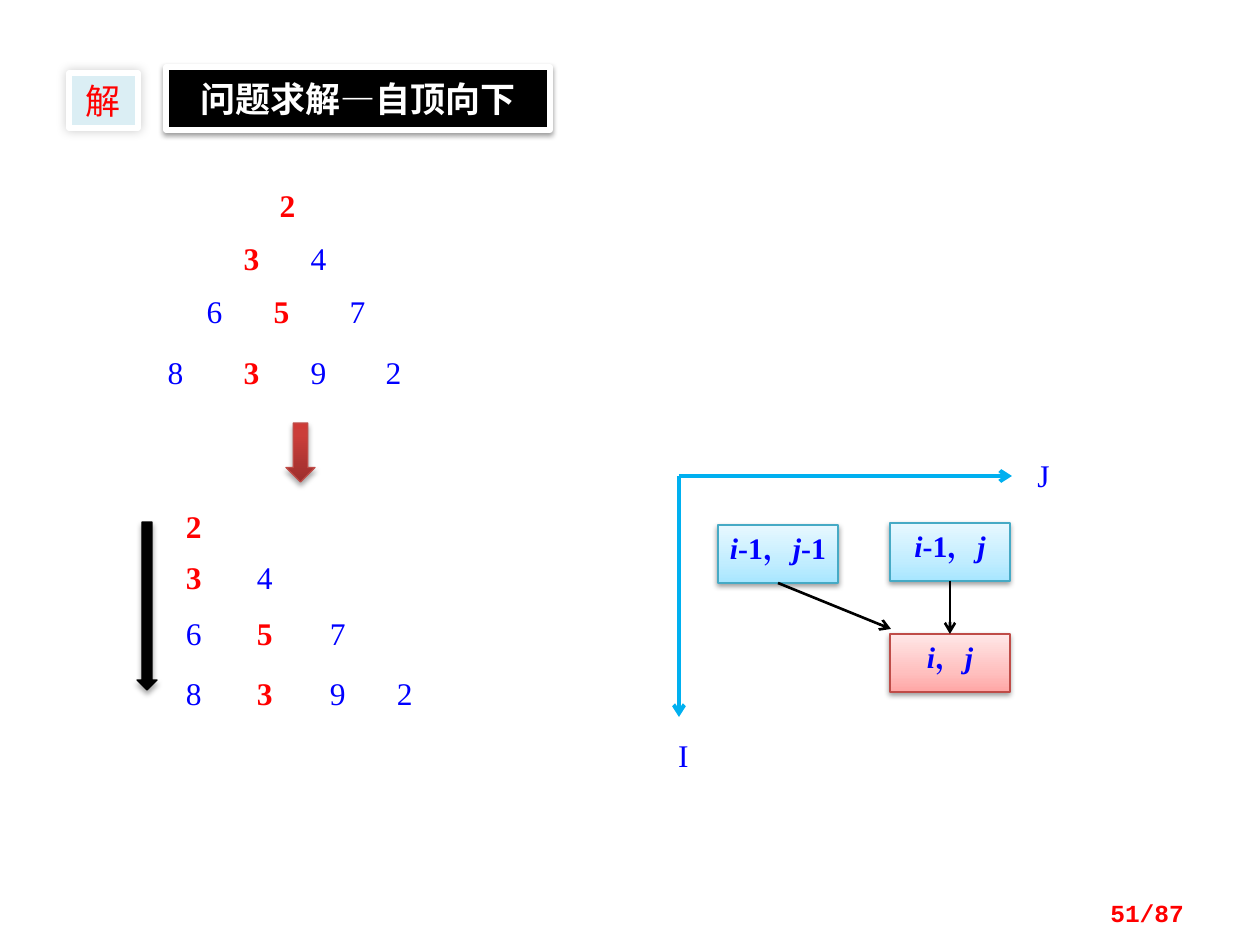
from dataclasses import dataclass

from lxml.etree import SubElement as Sub
from pptx import Presentation
from pptx.dml.color import RGBColor as Rgb
from pptx.enum.shapes import MSO_CONNECTOR as Conn, MSO_SHAPE as Geo
from pptx.enum.text import MSO_ANCHOR as Anchor, PP_ALIGN as Align
from pptx.oxml.ns import qn
from pptx.util import Pt

SCALE = 914400 / 126


def px(n):
    """Turn px into EMU."""
    return round(n * SCALE)


@dataclass(frozen=True)
class Theme:
    """Colours, fonts and type sizes."""
    red: str = "FF0000"
    blue: str = "0000FF"
    black: str = "000000"
    white: str = "FFFFFF"
    pale: str = "DBEEF4"
    axis: str = "00B0F0"
    teal: str = "46AAC5"
    brick: str = "BF4C48"
    sky: tuple = ((0, "A7E6FF"), (35, "C1EDFF"), (100, "E7F8FF"))
    rose: tuple = ((0, "FFA6A5"), (35, "FFC0BF"), (100, "FFE7E7"))
    rust: tuple = ((0, "9C2F2D"), (80, "CB3E3A"), (100, "CE3B37"))
    serif: str = "Times New Roman"
    sans: str = "Noto Sans CJK SC"
    mono: str = "Courier New"
    head: int = 20
    body: int = 18
    node: int = 17
    foot: int = 14


class Deck:
    """Holds the theme and the current slide."""

    def __init__(self, theme):
        """Open a deck with one blank slide."""
        self.theme = theme
        self.prs = Presentation()
        self.prs.slide_width, self.prs.slide_height = px(1260), px(945)
        self.slide = self.prs.slides.add_slide(self.prs.slide_layouts[6])

    def text(self, shape, runs, font, size, hue, align=Align.CENTER,
             pad=(0, 0, 0, 0), anchor=Anchor.TOP, indent=0):
        """Fill a shape with runs of (text, bold, italic)."""
        frame = shape.text_frame
        frame.word_wrap = True
        frame.vertical_anchor = anchor
        (frame.margin_left, frame.margin_top,
         frame.margin_right, frame.margin_bottom) = map(px, pad)
        para = frame.paragraphs[0]
        para.alignment = align
        if indent:
            para._p.get_or_add_pPr().set("indent", str(px(indent)))
        for words, bold, slant in runs:
            run = para.add_run()
            run.text = words
            face = run.font
            face.name, face.size = font, Pt(size)
            face.bold, face.italic = bold, slant
            face.color.rgb = Rgb.from_string(hue)
            Sub(face._element, qn("a:ea"), typeface=font)

    def label(self, box, runs, font, size, hue, **opts):
        """Add a text box."""
        shape = self.slide.shapes.add_textbox(*map(px, box))
        self.text(shape, runs, font, size, hue, **opts)

    def block(self, geo, box, fill, edge, width, shade=(38, 3.1, 1.6, 90)):
        """Add a preset shape with a plain or graded fill and a shadow."""
        shape = self.slide.shapes.add_shape(geo, *map(px, box))
        if isinstance(fill, str):
            shape.fill.solid()
            shape.fill.fore_color.rgb = Rgb.from_string(fill)
        else:
            shape.fill.gradient()
            shape.fill.gradient_angle = 90
            stops = shape._element.spPr.find(".//" + qn("a:gsLst"))
            for old in list(stops):
                stops.remove(old)
            for pos, hue in fill:
                stop = Sub(stops, qn("a:gs"), pos=str(pos * 1000))
                Sub(stop, qn("a:srgbClr"), val=hue)
        shape.line.color.rgb = Rgb.from_string(edge)
        shape.line.width = Pt(width)
        shape.shadow.inherit = False
        alpha, blur, dist, turn = shade
        glow = Sub(shape._element.spPr.find(qn("a:effectLst")),
                   qn("a:outerShdw"), blurRad=str(Pt(blur)),
                   dist=str(Pt(dist)), dir=str(turn * 60000),
                   algn="ctr", rotWithShape="0")
        tint = Sub(glow, qn("a:srgbClr"), val=self.theme.black)
        Sub(tint, qn("a:alpha"), val=str(alpha * 1000))
        return shape

    def node(self, left, top, fill, edge, runs):
        """Add a cell of the index diagram."""
        look = self.theme
        shape = self.block(Geo.RECTANGLE, (left, top, 120, 58), fill, edge, 0.75)
        self.text(shape, runs, look.serif, look.node, look.blue, pad=(0, 5, 0, 0))
        return shape

    def arrow(self, start, end, hue, width, tail=None, tip=None):
        """Add an arrow, joined to the tail's base and the tip's top if given."""
        line = self.slide.shapes.add_connector(
            Conn.STRAIGHT, *map(px, (*start, *end)))
        if tail is not None:
            line.begin_connect(tail, 2)
        if tip is not None:
            line.end_connect(tip, 0)
        line.line.color.rgb = Rgb.from_string(hue)
        line.line.width = Pt(width)
        Sub(line._element.spPr.find(qn("a:ln")), qn("a:tailEnd"), type="arrow")
        Sub(line._element.spPr, qn("a:effectLst"))

    def digits(self, rows, route, lefts, tops, **opts):
        """Add rows of numbers with the chosen route in bold red."""
        look = self.theme
        for row, pick, xs, top in zip(rows, route, lefts, tops):
            for col, (num, left) in enumerate(zip(row, xs)):
                hit = col == pick
                self.label((left, top, 39, 42), [(num, hit, False)], look.serif,
                           look.body, look.red if hit else look.blue, **opts)


def main():
    """Build the slide."""
    look = Theme()
    deck = Deck(look)

    tag = deck.block(Geo.RECTANGLE, (69, 73, 69, 55), look.pale, look.white, 3,
                     (20, 6, 0, 225))
    deck.text(tag, [("解", False, False)], look.sans, look.head, look.red,
              anchor=Anchor.MIDDLE)
    title = deck.block(Geo.RECTANGLE, (166, 67, 384, 63), look.black, look.white, 3)
    deck.text(title, [("问题求解—自顶向下", True, False)], look.sans, look.head,
              look.white, pad=(13, 10, 13, 10), anchor=Anchor.MIDDLE)

    rows, route = ("2", "34", "657", "8392"), (0, 0, 1, 1)
    cols = (186, 257, 330, 397)
    deck.digits(rows, route, [cols] * 4, (507, 558, 614, 674), align=Align.LEFT)
    peaks = ((249,), (213, 280), (176, 243, 319), (137, 213, 280, 355))
    deck.digits(rows, route, peaks, (186, 239, 292, 353), indent=38)

    soft = (35, 3.1, 1.8, 90)
    deck.block(Geo.DOWN_ARROW, (286, 423, 29, 59), look.rust, look.brick, 0.75, soft)
    deck.block(Geo.DOWN_ARROW, (137, 522, 20, 168), look.black, look.black, 0.75, soft)

    row, col = ("i", True, True), ("j", True, True)
    comma, less, prev = [(mark, True, False) for mark in ("，", "-1，", "-1")]
    above = deck.node(890, 523, look.sky, look.teal, [row, less, col])
    left = deck.node(718, 525, look.sky, look.teal, [row, less, col, prev])
    here = deck.node(890, 634, look.rose, look.brick, [row, comma, col])
    deck.arrow((950, 581), (950, 634), look.black, 1.5, above, here)
    deck.arrow((778, 583), (891, 629), look.black, 1.5, left)
    for end in ((1012, 476), (679, 717)):
        deck.arrow((679, 476), end, look.axis, 2.25)
    for name, x, y in (("J", 1024, 456), ("I", 664, 736)):
        deck.label((x, y, 39, 43), [(name, False, False)], look.serif, look.body,
                   look.blue)

    deck.label((903, 888, 294, 50), [("51/87", True, False)], look.mono, look.foot,
               look.red, align=Align.RIGHT, pad=(13, 6, 13, 6), anchor=Anchor.MIDDLE)
    deck.prs.save("out.pptx")


if __name__ == "__main__":
    main()
